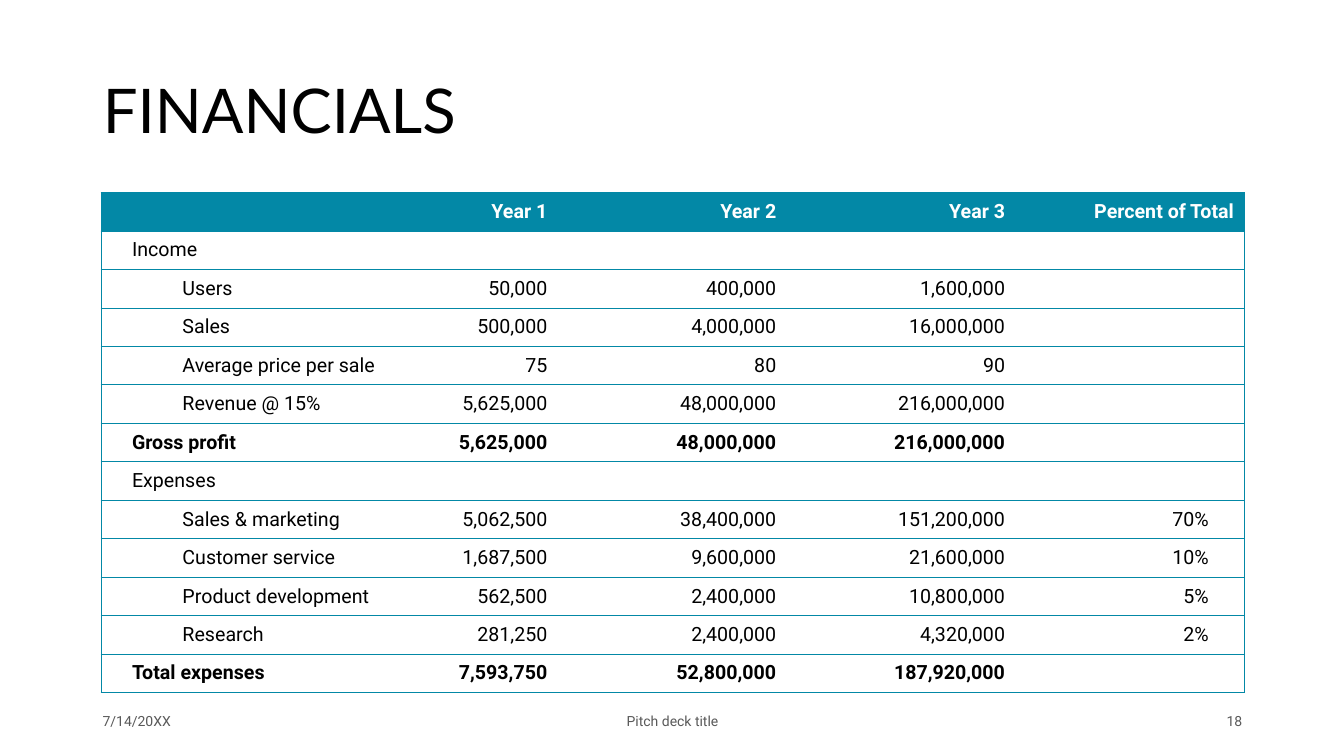
from lxml.etree import SubElement as Sub
from pptx import Presentation
from pptx.dml.color import RGBColor as RGB
from pptx.enum.text import MSO_ANCHOR as Anchor, MSO_AUTO_SIZE as Fit, PP_ALIGN as Align
from pptx.oxml.ns import qn
from pptx.util import Inches, Pt

TEAL = RGB(0x03, 0x88, 0xA6)
WHITE = RGB(0xFF, 0xFF, 0xFF)
BLACK = RGB(0x00, 0x00, 0x00)
GRAY = RGB(0x59, 0x59, 0x59)
HEAD, GROUP, ITEM, TOTAL = range(4)

COLS = [2.95, 1.58, 2.27, 2.27, 2.27]
ROWS = [
    (HEAD, "", "Year 1", "Year 2", "Year 3", "Percent of Total"),
    (GROUP, "Income", "", "", "", ""),
    (ITEM, "Users", "50,000", "400,000", "1,600,000", ""),
    (ITEM, "Sales", "500,000", "4,000,000", "16,000,000", ""),
    (ITEM, "Average price per sale", "75", "80", "90", ""),
    (ITEM, "Revenue @ 15%", "5,625,000", "48,000,000", "216,000,000", ""),
    (TOTAL, "Gross profit", "5,625,000", "48,000,000", "216,000,000", ""),
    (GROUP, "Expenses", "", "", "", ""),
    (ITEM, "Sales & marketing", "5,062,500", "38,400,000", "151,200,000", "70%"),
    (ITEM, "Customer service", "1,687,500", "9,600,000", "21,600,000", "10%"),
    (ITEM, "Product development", "562,500", "2,400,000", "10,800,000", "5%"),
    (ITEM, "Research", "281,250", "2,400,000", "4,320,000", "2%"),
    (TOTAL, "Total expenses", "7,593,750", "52,800,000", "187,920,000", ""),
]


def add_run(para, text, size, color, face="Roboto", bold=False):
    run = para.add_run()
    run.text = text
    font = run.font
    font.name, font.size, font.bold = face, Pt(size), bold
    font.color.rgb = color


def add_title(slide, text):
    title = slide.shapes.title
    title.left, title.top = Inches(0.92), Inches(0.4)
    title.width, title.height = Inches(11.5), Inches(1.45)
    frame = title.text_frame
    frame.auto_size = Fit.NONE
    frame.vertical_anchor = Anchor.MIDDLE
    para = frame.paragraphs[0]
    para.alignment, para.line_spacing = Align.LEFT, 0.9
    add_run(para, text, 44, BLACK, "Lato")


def add_note(slide, text, left, width, align):
    box = slide.shapes.add_textbox(Inches(left), Inches(6.95), Inches(width), Inches(0.4))
    frame = box.text_frame
    frame.word_wrap = True
    frame.vertical_anchor = Anchor.MIDDLE
    para = frame.paragraphs[0]
    para.alignment = align
    add_run(para, text, 10, GRAY)


def set_edge(cell, side, drawn):
    line = Sub(cell._tc.get_or_add_tcPr(), qn(f"a:ln{side}"), w=str(Pt(0.5)))
    if drawn:
        fill = Sub(line, qn("a:solidFill"))
        Sub(fill, qn("a:srgbClr"), val=str(TEAL))
    else:
        Sub(line, qn("a:noFill"))


def fill_cell(cell, text, kind, col):
    last = len(COLS) - 1
    for side, drawn in (("L", col == 0), ("R", col == last), ("T", True), ("B", True)):
        set_edge(cell, side, drawn)
    cell.fill.solid()
    cell.fill.fore_color.rgb = TEAL if kind == HEAD else WHITE
    cell.vertical_anchor = Anchor.MIDDLE
    para = cell.text_frame.paragraphs[0]
    if not text:
        Sub(para._p, qn("a:endParaRPr"), sz="1400")
        return
    if col == 0:
        cell.margin_left = Inches(0.31)
        if kind == ITEM:
            para.level = 1
            props = para._p.get_or_add_pPr()
            props.set("marL", str(Inches(0.5)))
            props.set("indent", "0")
    else:
        para.alignment = Align.RIGHT
        if col == last and kind != HEAD:
            cell.margin_right = Inches(0.35)
    color = WHITE if kind == HEAD else BLACK
    add_run(para, text, 14, color, bold=kind in (HEAD, TOTAL))


def add_grid(slide):
    frame = slide.shapes.add_table(
        len(ROWS), len(COLS), Inches(1), Inches(1.91), Inches(11.33), Inches(4.96))
    table = frame.table
    table.first_row = table.horz_banding = False
    for col, width in zip(table.columns, COLS):
        col.width = Inches(width)
    for row, (kind, *texts) in zip(table.rows, ROWS):
        for col, (cell, text) in enumerate(zip(row.cells, texts)):
            fill_cell(cell, text, kind, col)


def main():
    deck = Presentation()
    deck.slide_width, deck.slide_height = Inches(13.33), Inches(7.5)
    slide = deck.slides.add_slide(deck.slide_layouts[5])
    add_title(slide, "FINANCIALS")
    add_grid(slide)
    add_note(slide, "7/14/20XX", 0.92, 3, Align.LEFT)
    add_note(slide, "Pitch deck title", 4.42, 4.5, Align.CENTER)
    add_note(slide, "18", 9.42, 3, Align.RIGHT)
    deck.save("out.pptx")


if __name__ == "__main__":
    main()
